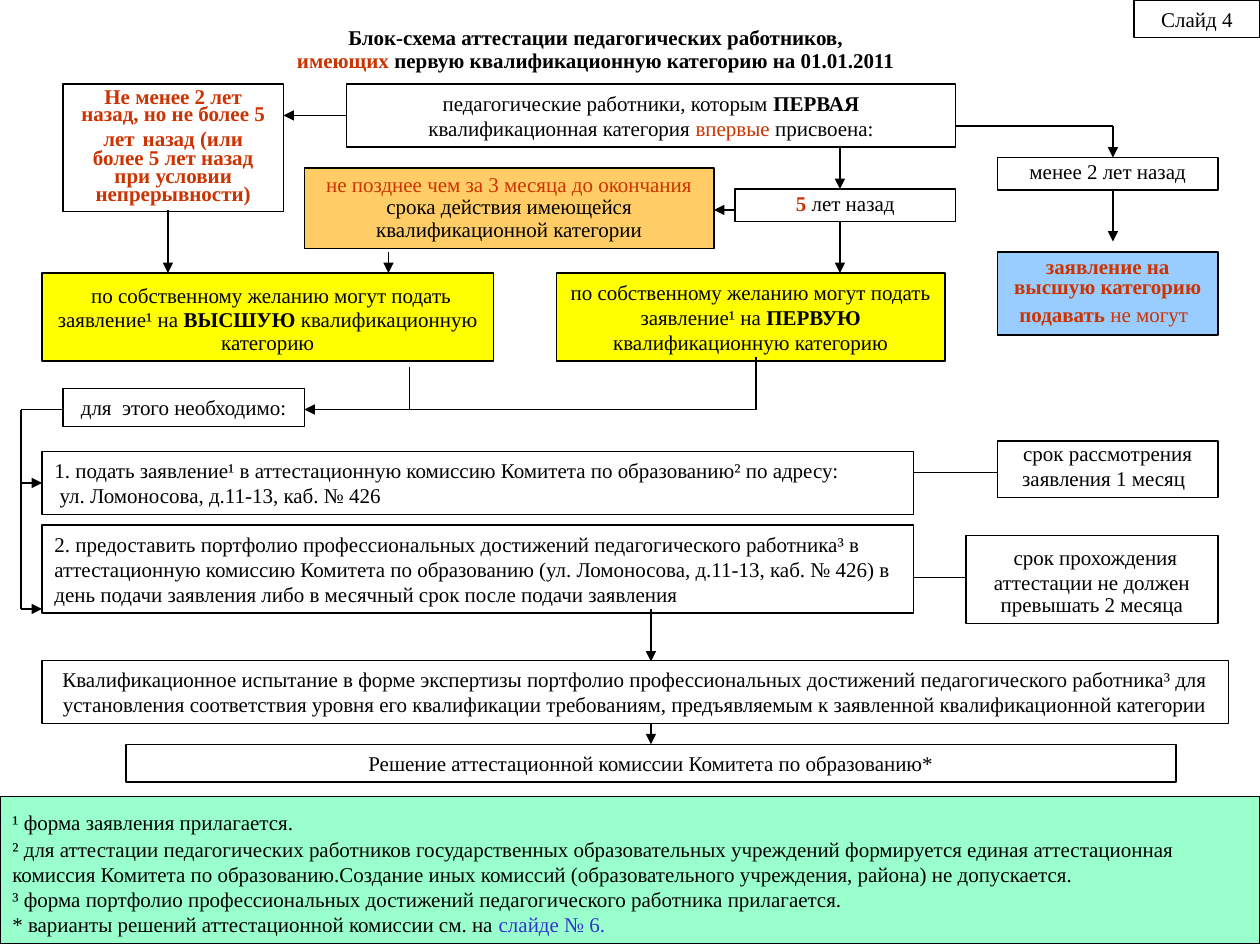
from lxml import etree
from pptx import Presentation
from pptx.dml.color import RGBColor
from pptx.enum.shapes import MSO_CONNECTOR, MSO_SHAPE
from pptx.enum.text import MSO_ANCHOR, MSO_AUTO_SIZE, PP_ALIGN
from pptx.oxml.ns import qn
from pptx.util import Pt

RECT = MSO_SHAPE.RECTANGLE
LINE = MSO_CONNECTOR.STRAIGHT
TOP = MSO_ANCHOR.TOP
GROW = MSO_AUTO_SIZE.SHAPE_TO_FIT_TEXT
LEFT, MID = PP_ALIGN.LEFT, PP_ALIGN.CENTER
HUES = {
    "ink": "000000", "red": "CC3300", "link": "3333CC", "white": "FFFFFF",
    "yellow": "FFFF00", "mint": "99FFCC", "sky": "99CCFF", "sand": "FFCC66",
}


class Chart:
    """Draws the boxes, text and arrows of a flow chart on one slide."""

    def __init__(self, slide, font="Times New Roman", size=12, width=0.75):
        self.slide, self.font, self.size, self.width = slide, font, size, width

    def hue(self, name):
        return RGBColor.from_string(HUES[name])

    def prose(self, frame, paras, align, lead, gap):
        frame.word_wrap = True
        frame.auto_size = GROW
        frame.vertical_anchor = TOP
        for i, runs in enumerate(paras):
            para = frame.paragraphs[0] if i == 0 else frame.add_paragraph()
            para.alignment = align
            para.line_spacing = lead
            if i:
                para.space_before = Pt(gap)
            for run in runs:
                self.piece(para, *run)

    def piece(self, para, text, hue="ink", bold=False, size=None):
        run = para.add_run()
        run.text = text
        run.font.name = self.font
        run.font.size = Pt(size or self.size)
        run.font.bold = bold
        run.font.color.rgb = self.hue(hue)

    def box(self, x, y, w, h, *paras, fill=None, align=MID, lead=1.0):
        shape = self.slide.shapes.add_shape(RECT, Pt(x), Pt(y), Pt(w), Pt(h))
        shape.shadow.inherit = False
        if fill:
            shape.fill.solid()
            shape.fill.fore_color.rgb = self.hue(fill)
        else:
            shape.fill.background()
        shape.line.color.rgb = self.hue("ink")
        shape.line.width = Pt(self.width)
        self.prose(shape.text_frame, paras, align, lead, 0)

    def label(self, x, y, w, h, *paras, lead=1.0, gap=0):
        shape = self.slide.shapes.add_textbox(Pt(x), Pt(y), Pt(w), Pt(h))
        self.prose(shape.text_frame, paras, MID, lead, gap)

    def line(self, x, y, to_x, to_y, arrow=False):
        link = self.slide.shapes.add_connector(LINE, Pt(x), Pt(y), Pt(to_x), Pt(to_y))
        link.line.color.rgb = self.hue("ink")
        link.line.width = Pt(self.width)
        props = link._element.spPr
        if arrow:
            etree.SubElement(props.find(qn("a:ln")), qn("a:tailEnd"), type="triangle")
        etree.SubElement(props, qn("a:effectLst"))


def main():
    deck = Presentation()
    deck.slide_width, deck.slide_height = Pt(720), Pt(540)
    chart = Chart(deck.slides.add_slide(deck.slide_layouts[6]))
    box = chart.box

    chart.label(
        162, 18, 360, 26.6,
        [("Блок-схема аттестации педагогических работников, ", "ink", True)],
        [("имеющих", "red", True),
         (" первую квалификационную категорию на 01.01.2011 ", "ink", True)],
        lead=0.4, gap=7.5)
    box(648, 0, 72, 21.6, [("Слайд 4",)], fill="white")

    box(198, 48, 348, 36, [
        ("педагогические работники, которым ",), ("ПЕРВАЯ ", "ink", True),
        ("квалификационная категория ",), ("впервые ", "red"), ("присвоена:",)])
    box(36, 48, 126, 72.8, [
        ("Не менее 2 лет назад, но не более 5 лет", "red", True),
        (" ", "ink", False, 18),
        ("назад (или более 5 лет назад при условии непрерывности)", "red", True)],
        lead=0.7)
    box(570, 90, 126, 18.7, [("менее 2 лет назад",)], lead=0.8)
    box(420, 108, 126, 18.7, [("5 ", "red", True), ("лет назад",)], lead=0.8)
    box(174, 96, 234, 46.2, [
        ("не позднее чем за 3 месяца до окончания", "red"),
        (" срока действия имеющейся квалификационной категории",)],
        fill="sand", lead=0.9)
    box(570, 144, 126, 47.5, [
        ("заявление на высшую категорию подавать ", "red", True),
        ("не могут", "red"), (" ", "red", False, 18)], fill="sky", lead=0.8)

    wish = "по собственному желанию могут подать заявление¹ на "
    rank = " квалификационную категорию"
    box(24, 156, 258, 50.4, [
        (" ", "ink", False, 16), (wish,), ("ВЫСШУЮ", "ink", True), (rank,)],
        fill="yellow", lead=0.9)
    box(318, 156, 222, 50.4, [(wish,), ("ПЕРВУЮ", "ink", True), (rank,)], fill="yellow")

    box(36, 222, 138, 21.6, [("для  этого необходимо:",)])
    box(24, 258, 498, 36,
        [("1. подать заявление¹ в аттестационную комиссию Комитета по образованию² по адресу:",)],
        [(" ул. Ломоносова, д.11-13, каб. № 426",)], align=LEFT)
    box(24, 300, 498, 50.4, [(
        "2. предоставить портфолио профессиональных достижений педагогического работника³ "
        "в аттестационную комиссию Комитета по образованию (ул. Ломоносова, д.11-13, "
        "каб. № 426) в день подачи заявления либо в месячный срок после подачи заявления",)],
        align=LEFT)
    box(570, 252, 126, 32.4, [
        ("срок рассмотрения заявления 1 месяц",), (" ", "ink", False, 18)], lead=0.7)
    box(552, 306, 144, 50.4, [
        (" ", "ink", False, 16),
        ("срок прохождения аттестации не должен превышать 2 месяца",)], lead=0.9)
    box(24, 377.3, 678, 36, [(
        "Квалификационное испытание в форме экспертизы портфолио профессиональных "
        "достижений педагогического работника³ для установления соответствия уровня его "
        "квалификации требованиям, предъявляемым к заявленной квалификационной категории",)])
    box(72, 425.3, 600, 21.6, [("Решение аттестационной комиссии Комитета по образованию*",)])
    box(0, 455.2, 720, 84.2,
        [("¹ форма заявления прилагается.",), (" ", "ink", False, 16)],
        [("² для аттестации педагогических работников государственных образовательных "
          "учреждений формируется единая аттестационная комиссия Комитета по "
          "образованию.Создание иных комиссий (образовательного учреждения, района) "
          "не допускается.",)],
        [("³ форма портфолио профессиональных достижений педагогического работника "
          "прилагается.",)],
        [("* варианты решений аттестационной комиссии см. на ",), ("слайде № 6.", "link")],
        fill="mint", align=LEFT)

    plain = [
        (36, 234, 12, 234), (12, 234, 12, 348), (522, 270, 570, 270),
        (522, 330, 552, 330), (546, 72, 636, 72), (234, 210, 234, 234),
        (432, 234, 432, 204),
    ]
    arrows = [
        (12, 276, 24, 276), (12, 348, 24, 348), (372, 413.3, 372, 425.3),
        (636, 108, 636, 138), (636, 72, 636, 90), (432, 234, 174, 234),
        (480, 126, 480, 156), (420, 120, 408, 120), (222, 144, 222, 156),
        (198, 66, 162, 66), (480, 84, 480, 108), (96, 120, 96, 156),
        (372, 348, 372, 378),
    ]
    for ends in plain:
        chart.line(*ends)
    for ends in arrows:
        chart.line(*ends, arrow=True)
    deck.save("out.pptx")


if __name__ == "__main__":
    main()
